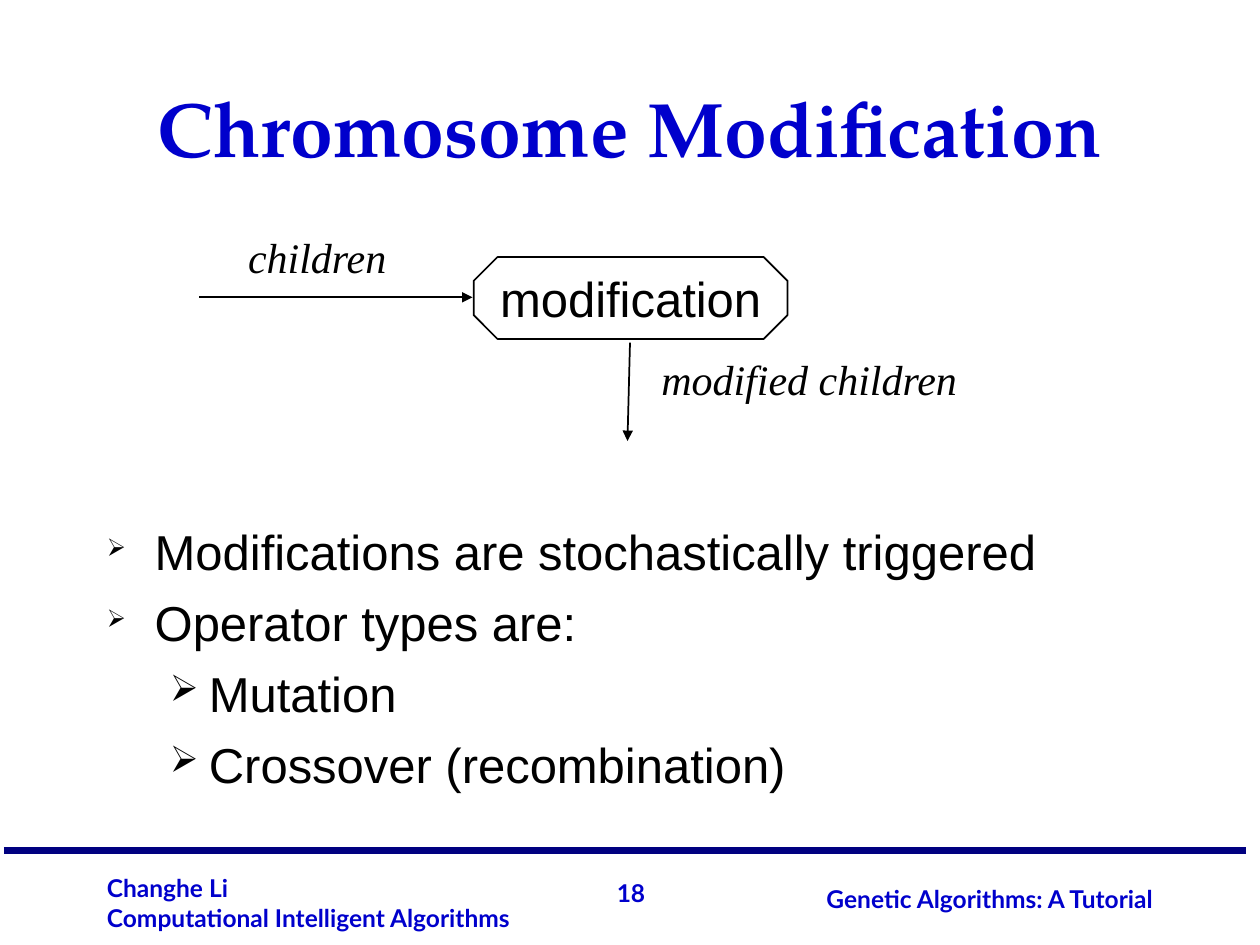
from dataclasses import dataclass
from typing import Any

from lxml import etree
from pptx import Presentation
from pptx.dml.color import RGBColor
from pptx.enum.shapes import MSO_CONNECTOR, MSO_SHAPE
from pptx.enum.text import MSO_ANCHOR, MSO_AUTO_SIZE, PP_ALIGN
from pptx.oxml.ns import qn
from pptx.util import Inches, Pt

# Grid: 40 columns by 30 rows
WIDTH, HEIGHT = Inches(10), Inches(7.5)
COLUMN, ROW = WIDTH / 40, HEIGHT / 30

BLUE = RGBColor(0x00, 0x00, 0xCC)
NAVY = RGBColor(0x00, 0x00, 0x80)
BLACK = RGBColor(0x00, 0x00, 0x00)
WHITE = RGBColor(0xFF, 0xFF, 0xFF)

LEFT, CENTER, RIGHT = PP_ALIGN.LEFT, PP_ALIGN.CENTER, PP_ALIGN.RIGHT
TOP, MIDDLE, BOTTOM = MSO_ANCHOR.TOP, MSO_ANCHOR.MIDDLE, MSO_ANCHOR.BOTTOM
GROW, FIXED = MSO_AUTO_SIZE.SHAPE_TO_FIT_TEXT, MSO_AUTO_SIZE.NONE
STRAIGHT = MSO_CONNECTOR.STRAIGHT
OCTAGON = MSO_SHAPE.OCTAGON


@dataclass(frozen=True)
class Style:
    font: str
    size: int
    color: RGBColor = BLACK
    bold: bool = False
    italic: bool = False


@dataclass(frozen=True)
class Box:
    column: float
    row: float
    columns: float
    rows: float

    def lengths(self) -> tuple[int, int, int, int]:
        return (round(self.column * COLUMN), round(self.row * ROW),
                round(self.columns * COLUMN), round(self.rows * ROW))


@dataclass(frozen=True)
class Label:
    box: Box
    lines: tuple[str, ...]
    style: Style
    align: PP_ALIGN = LEFT
    anchor: MSO_ANCHOR = TOP
    wrap: bool = False


@dataclass(frozen=True)
class Line:
    start: tuple[float, float]
    end: tuple[float, float]
    color: RGBColor = BLACK
    width: float = 1
    arrow: bool = True


@dataclass(frozen=True)
class Bullet:
    text: str
    level: int = 0


@dataclass(frozen=True)
class BulletLevel:
    margin: float
    hanging: float
    percent: int


TITLE = Style("TeX Gyre Pagella", 44, BLUE, bold=True)
FOOTER = Style("Lato", 14, BLUE, bold=True)
BODY = Style("Arial", 28)
FLOW = Style("Times New Roman", 24, italic=True)

TITLE_BOX = Box(3, 1, 34, 4.68)
OPERATION_BOX = Box(15.04, 8.16, 9.96, 2.6)
BULLET_BOX = Box(3, 16.36, 34, 9.96)

LABELS = (
    Label(Box(19.16, 27.68, 1.72, 1.32), ("18",), FOOTER, RIGHT, MIDDLE),
    Label(Box(3, 27.52, 15, 2.28),
          ("Changhe Li", "Computational Intelligent Algorithms"),
          FOOTER, LEFT, MIDDLE, True),
    Label(Box(23.68, 27.88, 13.32, 1.32),
          ("Genetic Algorithms: A Tutorial",), FOOTER, RIGHT, MIDDLE, True),
    Label(Box(7.48, 7.16, 5.24, 2), ("children",), FLOW),
    Label(Box(20.6, 11.04, 10.24, 2), ("modified children",), FLOW),
)
LINES = (
    Line((0.12, 27), (39.56, 27), NAVY, 4.5, arrow=False),
    Line((6.32, 9.44), (15, 9.44)),
    Line((20, 10.88), (19.92, 14)),
)
BULLETS = (
    Bullet("Modifications are stochastically triggered"),
    Bullet("Operator types are:"),
    Bullet("Mutation", 1),
    Bullet("Crossover (recombination)", 1),
)
BULLET_LEVELS = (BulletLevel(0.38, 0.38, 50), BulletLevel(0.81, 0.31, 75))


def format_paragraph(paragraph: Any, style: Style, align: PP_ALIGN) -> None:
    paragraph.alignment = align
    font = paragraph.font
    font.name, font.size = style.font, Pt(style.size)
    font.bold, font.italic = style.bold, style.italic
    font.color.rgb = style.color


def fill_text(shape: Any, lines: tuple[str, ...], style: Style, align: PP_ALIGN,
              anchor: MSO_ANCHOR, wrap: bool, fit: MSO_AUTO_SIZE) -> None:
    frame = shape.text_frame
    frame.text = "\n".join(lines)
    frame.word_wrap, frame.auto_size, frame.vertical_anchor = wrap, fit, anchor
    for paragraph in frame.paragraphs:
        format_paragraph(paragraph, style, align)


def add_label(slide: Any, label: Label) -> None:
    shape = slide.shapes.add_textbox(*label.box.lengths())
    fill_text(shape, label.lines, label.style, label.align, label.anchor,
              label.wrap, GROW)


def add_line(slide: Any, line: Line) -> None:
    points = [round(length * unit) for point in (line.start, line.end)
              for length, unit in zip(point, (COLUMN, ROW))]
    connector = slide.shapes.add_connector(STRAIGHT, *points)
    connector.line.color.rgb = line.color
    connector.line.width = Pt(line.width)
    if line.arrow:
        etree.SubElement(connector.line._get_or_add_ln(), qn("a:tailEnd"),
                         type="triangle")
    etree.SubElement(connector._element.spPr, qn("a:effectLst"))


def add_operation(slide: Any, box: Box, text: str) -> None:
    shape = slide.shapes.add_shape(OCTAGON, *box.lengths())
    shape.adjustments[0] = 0.29
    shape.shadow.inherit = False
    shape.fill.solid()
    shape.fill.fore_color.rgb = WHITE
    shape.line.color.rgb = BLACK
    shape.line.width = Pt(1)
    fill_text(shape, (text,), BODY, CENTER, MIDDLE, False, FIXED)


def add_bullets(slide: Any, box: Box, bullets: tuple[Bullet, ...]) -> None:
    frame = slide.shapes.add_textbox(*box.lengths()).text_frame
    frame.text = "\n".join(bullet.text for bullet in bullets)
    frame.word_wrap = True
    for index, (paragraph, bullet) in enumerate(zip(frame.paragraphs, bullets)):
        level = BULLET_LEVELS[bullet.level]
        paragraph.level = bullet.level
        paragraph.space_before = Pt(7 if index else 0)
        properties = paragraph._p.get_or_add_pPr()
        properties.set("marL", str(Inches(level.margin)))
        properties.set("indent", str(-Inches(level.hanging)))
        color = etree.SubElement(properties, qn("a:buClr"))
        etree.SubElement(color, qn("a:srgbClr"), val=str(BLACK))
        etree.SubElement(properties, qn("a:buSzPct"), val=str(level.percent * 1000))
        etree.SubElement(properties, qn("a:buChar"), char="➢")
        format_paragraph(paragraph, BODY, LEFT)


def main() -> None:
    presentation = Presentation()
    presentation.slide_width, presentation.slide_height = WIDTH, HEIGHT
    slide = presentation.slides.add_slide(presentation.slide_layouts[5])

    # Title
    title = slide.shapes.title
    title.left, title.top, title.width, title.height = TITLE_BOX.lengths()
    fill_text(title, ("Chromosome Modification",), TITLE, CENTER, BOTTOM, True, FIXED)

    # Flow diagram and footer
    add_operation(slide, OPERATION_BOX, "modification")
    for line in LINES:
        add_line(slide, line)
    for label in LABELS:
        add_label(slide, label)

    # Bullet list
    add_bullets(slide, BULLET_BOX, BULLETS)

    presentation.save("out.pptx")


if __name__ == "__main__":
    main()
